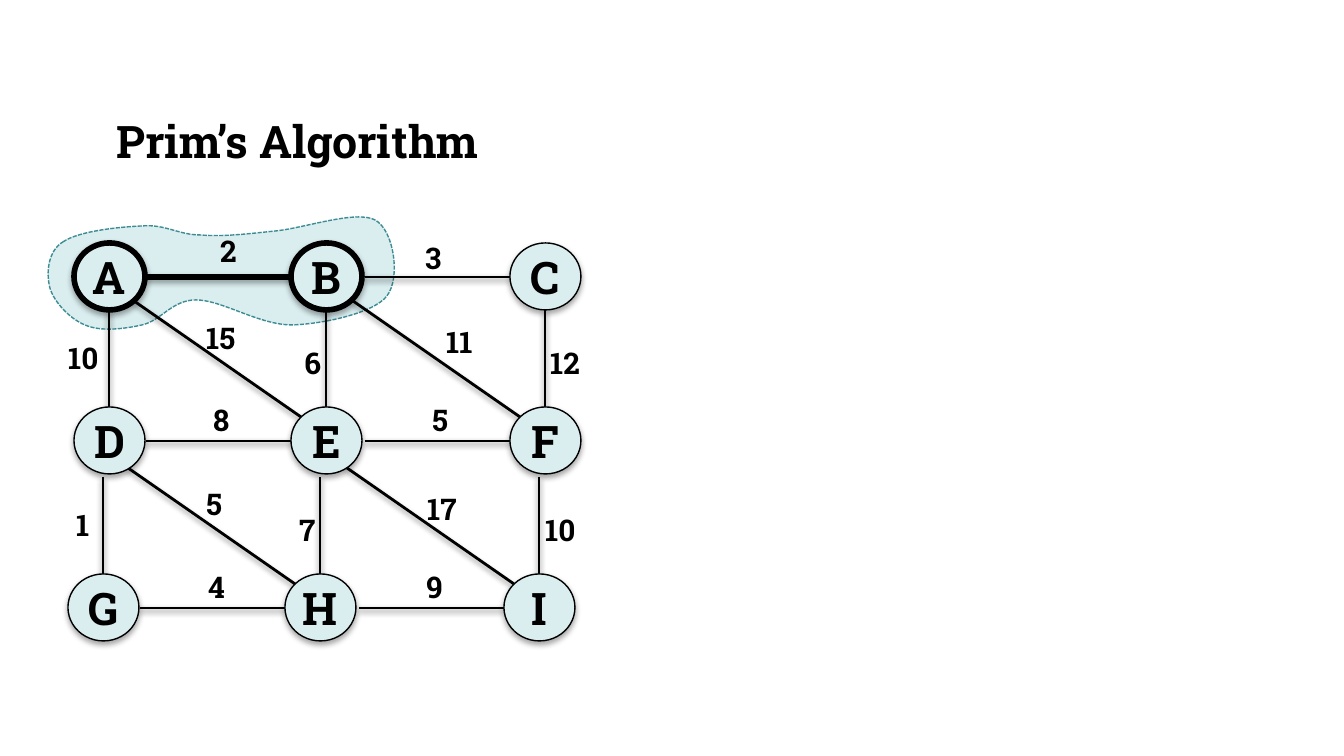
from dataclasses import dataclass

from lxml.etree import SubElement
from pptx import Presentation
from pptx.dml.color import RGBColor
from pptx.enum.dml import MSO_LINE_DASH_STYLE as Dash
from pptx.enum.shapes import MSO_CONNECTOR as Connector, MSO_SHAPE as Shape
from pptx.enum.text import MSO_ANCHOR as Anchor, MSO_AUTO_SIZE as AutoSize, PP_ALIGN as Align
from pptx.oxml.ns import qn
from pptx.util import Emu, Pt

BLACK = RGBColor(0x00, 0x00, 0x00)
PALE_TEAL = RGBColor(0xDA, 0xED, 0xEF)
TEAL = RGBColor(0x3C, 0x8C, 0x93)

EMU_PER_PIXEL = 914400 / 134.4
NODE_WIDTH, NODE_HEIGHT = 71, 67
COLUMN_LEFTS = (74, 291, 510)
ROW_TOPS = (243, 407, 574)
ROW_SHIFTS = (0, 0, -6)
NODE_NAMES = ("ABC", "DEF", "GHI")
IN_TREE = "AB"
LABEL_HEIGHT = 50
FONT = {"name": "Roboto Slab", "bold": True}
SPACE_FONT = {"name": "Times New Roman", "bold": False, "size": Pt(18)}


@dataclass
class Node:
    name: str
    left: int
    top: int


@dataclass
class Edge:
    ends: str
    weight: int
    label_left: int
    label_top: int
    label_width: int
    ends_in_space: bool = False


EDGES = (
    Edge("AB", 2, 207, 226, 46),
    Edge("BC", 3, 412, 233, 44),
    Edge("AD", 10, 55, 329, 59, True),
    Edge("AE", 15, 193, 313, 58),
    Edge("BE", 6, 291, 338, 46),
    Edge("BF", 11, 433, 317, 54),
    Edge("CF", 12, 537, 338, 59),
    Edge("DE", 8, 200, 395, 46),
    Edge("EF", 5, 419, 395, 44),
    Edge("DG", 1, 63, 496, 40, True),
    Edge("DH", 5, 193, 479, 44),
    Edge("EH", 7, 286, 505, 46),
    Edge("EI", 17, 414, 484, 59),
    Edge("FI", 10, 532, 505, 59),
    Edge("GH", 4, 195, 562, 46),
    Edge("HI", 9, 413, 562, 44),
)

# Each curve of the tree region: two control points and an end point
REGION_LEFT, REGION_TOP, REGION_WIDTH, REGION_HEIGHT = 48, 216, 347, 113
REGION_START = (63, 242)
REGION_CURVES = (
    ((79, 231), (120, 227), (142, 226)),
    ((165, 224), (179, 235), (200, 235)),
    ((223, 237), (247, 234), (276, 231)),
    ((305, 228), (356, 210), (375, 220)),
    ((394, 230), (401, 278), (387, 296)),
    ((374, 313), (324, 324), (292, 325)),
    ((259, 325), (222, 300), (196, 300)),
    ((172, 300), (161, 321), (142, 325)),
    ((124, 329), (101, 332), (85, 325)),
    ((70, 319), (54, 302), (50, 288)),
    ((46, 273), (48, 251), (63, 242)),
)


def px(*lengths: int) -> list[Emu]:
    return [Emu(round(length * EMU_PER_PIXEL)) for length in lengths]


def apply(target, formats: dict) -> None:
    for name, value in formats.items():
        setattr(target, name, value)


def place(item, left: int, top: int, width: int, height: int) -> None:
    apply(item, dict(zip(("left", "top", "width", "height"), px(left, top, width, height))))


def add_span(para, text: str, font_formats: dict) -> None:
    span = para.add_run()
    span.text = text
    apply(span.font, font_formats)
    span.font.color.rgb = BLACK


def write(box, text: str, size: int, align: Align, frame_formats: dict):
    frame = box.text_frame
    apply(frame, frame_formats)
    para = frame.paragraphs[0]
    para.alignment = align
    add_span(para, text, FONT | {"size": Pt(size)})
    return para


def format_line(item, color: RGBColor, width: float) -> None:
    item.line.color.rgb = color
    item.line.width = Pt(width)


def add_shadow(item, distance: float, opacity: int) -> None:
    effects = SubElement(item.element.spPr, qn("a:effectLst"))
    shadow = SubElement(effects, qn("a:outerShdw"), blurRad=str(Pt(3.1)),
                        dist=str(Pt(distance)), dir="5400000", rotWithShape="0")
    color = SubElement(shadow, qn("a:srgbClr"), val=str(BLACK))
    SubElement(color, qn("a:alpha"), val=str(opacity * 1000))


def draw_tree_region(page) -> None:
    builder = page.shapes.build_freeform(*REGION_START, scale=EMU_PER_PIXEL)
    builder.add_line_segments([curve[-1] for curve in REGION_CURVES], close=True)
    region = builder.convert_to_shape()
    place(region, REGION_LEFT, REGION_TOP, REGION_WIDTH, REGION_HEIGHT)

    # Turn the straight segments into curves
    outline = next(region.element.iter(qn("a:path")))
    for child in list(outline):
        outline.remove(child)
    outline.set("w", str(px(REGION_WIDTH)[0]))
    outline.set("h", str(px(REGION_HEIGHT)[0]))
    steps = [("a:moveTo", (REGION_START,))]
    steps += [("a:cubicBezTo", curve) for curve in REGION_CURVES]
    for tag, points in steps:
        step = SubElement(outline, qn(tag))
        for x, y in points:
            across, down = px(x - REGION_LEFT, y - REGION_TOP)
            SubElement(step, qn("a:pt"), x=str(across), y=str(down))
    SubElement(outline, qn("a:close"))

    region.shadow.inherit = False
    region.fill.solid()
    region.fill.fore_color.rgb = PALE_TEAL
    format_line(region, TEAL, 0.75)
    region.line.dash_style = Dash.SQUARE_DOT


def edge_points(source: Node, target: Node) -> tuple[int, int, int, int]:
    if source.top == target.top:
        end_x, end_y, run, rise = target.left, target.top + 34, 145, 0
    elif abs(source.left - target.left) < NODE_WIDTH:
        end_x, end_y, run, rise = target.left + 35, target.top, 0, 97
    else:
        end_x, end_y, run, rise = target.left + 10, target.top + 10, 167, 116
    return end_x - run, end_y - rise, end_x, end_y


def draw_edge(page, edge: Edge, nodes: dict[str, Node]) -> None:
    source, target = (nodes[name] for name in edge.ends)
    line = page.shapes.add_connector(Connector.STRAIGHT, *px(*edge_points(source, target)))
    format_line(line, BLACK, 3 if edge.ends == IN_TREE else 1.5)
    add_shadow(line, 1.6, 38)


def draw_node(page, node: Node) -> None:
    circle = page.shapes.add_shape(
        Shape.OVAL, *px(node.left, node.top, NODE_WIDTH, NODE_HEIGHT))
    circle.fill.solid()
    circle.fill.fore_color.rgb = PALE_TEAL
    format_line(circle, BLACK, 3 if node.name in IN_TREE else 0.75)
    add_shadow(circle, 1.8, 35)
    side, = px(5)
    write(circle, node.name, 24, Align.CENTER, {
        "margin_left": side, "margin_right": side,
        "vertical_anchor": Anchor.MIDDLE, "word_wrap": True})


def draw_weight(page, edge: Edge) -> None:
    box = page.shapes.add_textbox(
        *px(edge.label_left, edge.label_top, edge.label_width, LABEL_HEIGHT))
    para = write(box, str(edge.weight), 16, Align.LEFT, {
        "word_wrap": False, "auto_size": AutoSize.SHAPE_TO_FIT_TEXT})
    if edge.ends_in_space:
        add_span(para, " ", SPACE_FONT)


deck = Presentation()
deck.slide_width, deck.slide_height = px(1344, 756)
page = deck.slides.add_slide(deck.slide_layouts[5])

# Title
title = page.shapes.title
place(title, 52, 107, 491, 67)
write(title, "Prim’s Algorithm", 24, Align.CENTER, {
    "word_wrap": True, "vertical_anchor": Anchor.TOP,
    "auto_size": AutoSize.SHAPE_TO_FIT_TEXT})

# Graph: tree region, edges, nodes, weights
nodes = {
    name: Node(name, left + shift, top)
    for names, top, shift in zip(NODE_NAMES, ROW_TOPS, ROW_SHIFTS)
    for name, left in zip(names, COLUMN_LEFTS)
}
draw_tree_region(page)
for edge in EDGES:
    draw_edge(page, edge, nodes)
for node in nodes.values():
    draw_node(page, node)
for edge in EDGES:
    draw_weight(page, edge)

deck.save("out.pptx")
